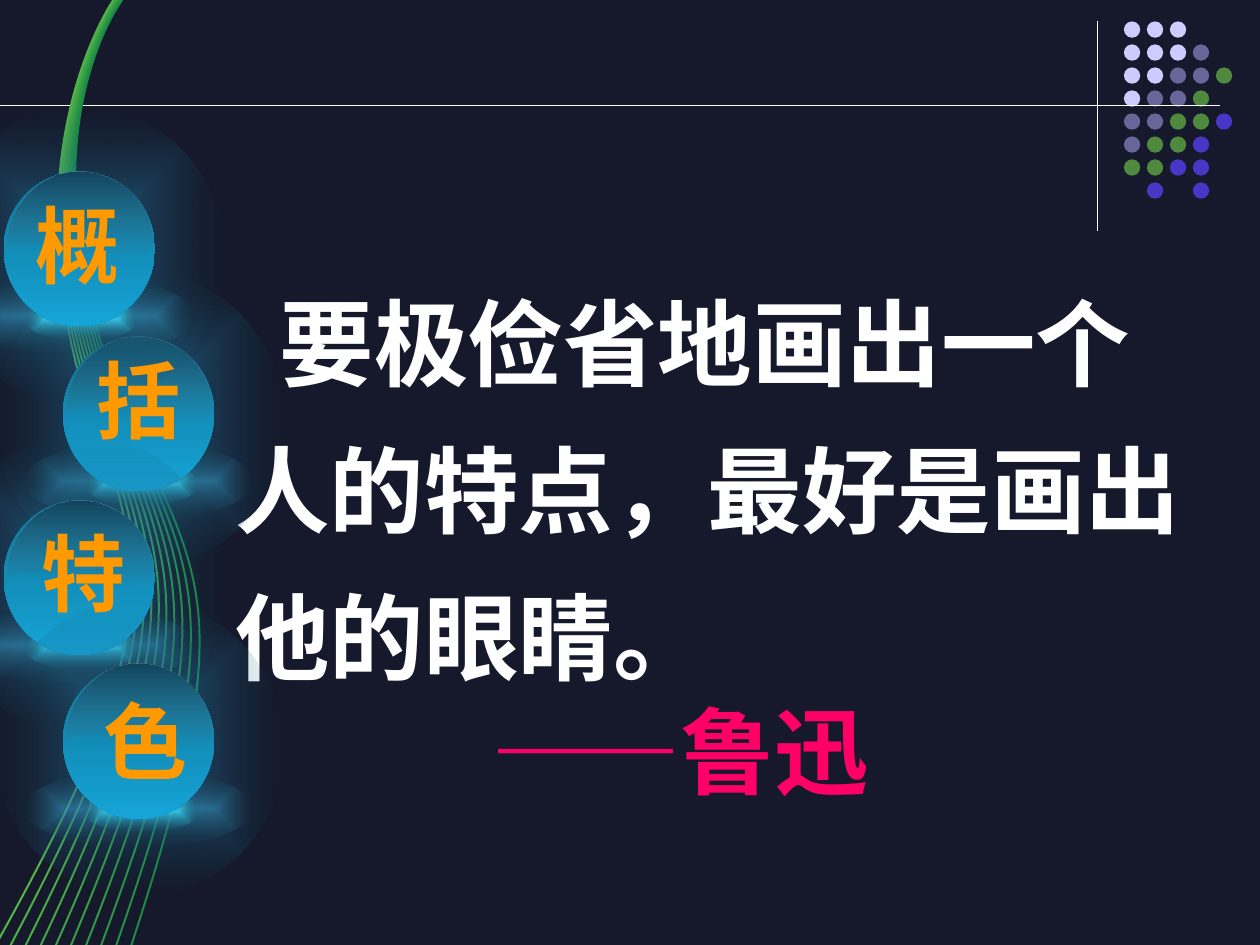
from dataclasses import dataclass
from lxml.etree import SubElement
from pptx import Presentation
from pptx.dml.color import RGBColor
from pptx.enum.shapes import MSO_CONNECTOR, MSO_SHAPE
from pptx.enum.text import MSO_AUTO_SIZE
from pptx.oxml.ns import qn
from pptx.util import Inches, Pt


@dataclass(frozen=True)
class Theme:
    back: str = "15192B"
    white: str = "FFFFFF"
    label: str = "FF9900"
    author: str = "FF0066"
    latin: str = "Arial"
    asian: str = "Noto Sans CJK SC"
    big: int = 54
    mid: int = 48
    rule: float = 0.75
    thin: float = 1.13
    dots = {"L": "CCCCFF", "G": "666699", "E": "4F893D", "B": "4837C7"}
    strands = ("53B848", "4FB147", "48AC47", "43A746", "3CA246",
               "369E46", "2F9946", "2A9545", "219145", "1A8D44")
    # Gradient stops: colour and opacity in percent
    glow = (("2FA4D9", 62), ("164C64", 0))
    halo = (("338EB7", 61), ("184255", 0))
    spark = (("35C8EB", 93), ("195D6D", 0))
    ball = (("0F7295", 100), ("16A5D8", 100))
    gloss = (("15192B", 53), ("767676", 0))


T = Theme()
DOTS = ("LLL", "LLLG", "LLGGE", "LGGE", "GGEEB", "GEEB", "EEBB", " B B")

# Outer strands: start point, then Bezier pieces of three points each
FIRST = ((0.9, 0), (0.9, 0), (-0.04, 1.35), (0.82, 3.56),
         (1.27, 4.72), (1.04, 5.58), (-0.04, 7.51))
LAST = ((0.97, 0), (0.97, 0), (0.03, 1.23), (1.13, 3.56),
        (1.66, 4.68), (1.84, 5.07), (1.04, 7.51))

# Gloss outline, measured from the ball's corner
GLOSS = ((1.05, 0.21), (1.14, 0.32), (1.19, 0.45), (1.19, 0.6),
         (0.78, 0.84), (0.51, 0.46), (0.02, 0.6),
         (0.02, 0.44), (0.08, 0.3), (0.18, 0.19),
         (0.29, 0.07), (0.44, 0), (0.6, 0),
         (0.78, 0), (0.94, 0.08), (1.05, 0.21))

BALLS = ((0.5, 2.67), (0.03, 1.36), (0.03, 3.97), (0.5, 5.27))
LABELS = (("概", 0.18, 1.49, 0.79), ("括", 0.67, 2.72, 0.98),
          ("特", 0.23, 4.09, 0.79), ("色", 0.72, 5.42, 0.84))


def rgb(code):
    return RGBColor.from_string(code)


def blend(shape, stops, radial=True):
    """Fill with a two-stop gradient that may fade out."""
    shape.fill.gradient()
    grad = shape._element.spPr.find(qn("a:gradFill"))
    for child in list(grad):
        grad.remove(child)
    group = SubElement(grad, qn("a:gsLst"))
    for pos, (code, alpha) in zip(("0", "100000"), stops):
        stop = SubElement(group, qn("a:gs"), pos=pos)
        color = SubElement(stop, qn("a:srgbClr"), val=code)
        if alpha < 100:
            SubElement(color, qn("a:alpha"), val=str(alpha * 1000))
    if radial:
        way = SubElement(grad, qn("a:path"), {"path": "rect"})
        SubElement(way, qn("a:fillToRect"),
                   {side: "50000" for side in "ltrb"})
    else:
        SubElement(grad, qn("a:lin"), ang="5400000", scaled="0")


def oval(shapes, left, top, width, height):
    shape = shapes.add_shape(MSO_SHAPE.OVAL, Inches(left), Inches(top),
                             Inches(width), Inches(height))
    shape.shadow.inherit = False
    shape.line.fill.background()
    return shape


def curve(shapes, knots, close=False):
    """Build a freeform, then turn each three segments into one Bezier."""
    dots = [(Inches(x), Inches(y)) for x, y in knots]
    pen = shapes.build_freeform(*dots[0])
    pen.add_line_segments(dots[1:], close=close)
    shape = pen.convert_to_shape()
    shape.shadow.inherit = False
    lines = list(shape._element.iter(qn("a:lnTo")))
    for k in range(0, len(lines), 3):
        bend = SubElement(lines[k].getparent(), qn("a:cubicBezTo"))
        lines[k].addprevious(bend)
        for line in lines[k:k + 3]:
            bend.append(line[0])
            line.getparent().remove(line)
    return shape


def rule(shapes, x1, y1, x2, y2):
    line = shapes.add_connector(MSO_CONNECTOR.STRAIGHT, Inches(x1), Inches(y1),
                                Inches(x2), Inches(y2))
    line.line.color.rgb = rgb(T.white)
    line.line.width = Pt(T.rule)
    SubElement(line._element.spPr, qn("a:effectLst"))


def box(shapes, left, top, width, height):
    frame = shapes.add_textbox(Inches(left), Inches(top), Inches(width),
                               Inches(height)).text_frame
    frame.word_wrap = True
    frame.auto_size = MSO_AUTO_SIZE.SHAPE_TO_FIT_TEXT
    return frame


def style(run, size, color, latin, asian):
    font = run.font
    font.size = Pt(size)
    font.bold = True
    font.color.rgb = rgb(color)
    font.name = latin
    SubElement(run._r.get_or_add_rPr(), qn("a:ea"), typeface=asian)


def grid(shapes):
    step = 0.73 / 4
    group = shapes.add_group_shape().shapes
    for row, line in enumerate(DOTS):
        for col, key in enumerate(line):
            if key in T.dots:
                dot = oval(group, 8.92 + col * step, 0.17 + row * step, 0.13, 0.13)
                dot.fill.solid()
                dot.fill.fore_color.rgb = rgb(T.dots[key])


def strands(shapes):
    for n, code in enumerate(T.strands):
        t = n / (len(T.strands) - 1)
        knots = [(a + (c - a) * t, b + (d - b) * t)
                 for (a, b), (c, d) in zip(FIRST, LAST)]
        shape = curve(shapes, knots)
        shape.fill.background()
        shape.line.color.rgb = rgb(code)
        shape.line.width = Pt(T.thin)


def ball(shapes, x, y):
    blend(oval(shapes, x - 0.54, y - 0.51, 2.29, 2.35), T.glow)
    blend(oval(shapes, x - 0.31, y + 0.84, 1.82, 0.62), T.halo)
    blend(oval(shapes, x + 0.16, y + 1, 0.92, 0.34), T.spark)
    blend(oval(shapes, x, y, 1.2, 1.23), T.ball, radial=False)
    shine = curve(shapes, [(x + a, y + b) for a, b in GLOSS], close=True)
    shine.line.fill.background()
    blend(shine, T.gloss, radial=False)


def quote(shapes):
    frame = box(shapes, 1.77, 1.94, 7.99, 4.51)
    frame.text = "要极俭省地画出一个人的特点，最好是画出他的眼睛。"
    body = frame.paragraphs[0]
    body.line_spacing = 1.3
    style(body.runs[0], T.big, T.white, T.asian, T.asian)
    sign = frame.add_paragraph()
    for text, latin in (("——", T.latin), ("鲁迅", T.asian)):
        run = sign.add_run()
        run.text = text
        style(run, T.big, T.author, latin, T.asian)
    for para, indent in ((body, 0.35), (sign, 2.03)):
        para._p.get_or_add_pPr().set("indent", str(Inches(indent)))


def label(shapes, text, left, top, width):
    frame = box(shapes, left, top, width, 0.9)
    frame.text = text
    style(frame.paragraphs[0].runs[0], T.mid, T.label, T.latin, T.latin)


def main():
    deck = Presentation()
    deck.slide_width, deck.slide_height = Inches(10), Inches(7.5)
    slide = deck.slides.add_slide(deck.slide_layouts[6])
    slide.background.fill.solid()
    slide.background.fill.fore_color.rgb = rgb(T.back)
    shapes = slide.shapes

    # Corner rules and dots
    rule(shapes, 8.71, 0.17, 8.71, 1.83)
    grid(shapes)
    rule(shapes, 0, 0.84, 9.68, 0.84)

    # Quotation
    quote(shapes)

    # Side ornament with its title
    side = shapes.add_group_shape().shapes
    strands(side)
    for x, y in BALLS:
        ball(side, x, y)
    for item in LABELS:
        label(side, *item)

    deck.save("out.pptx")


if __name__ == "__main__":
    main()
